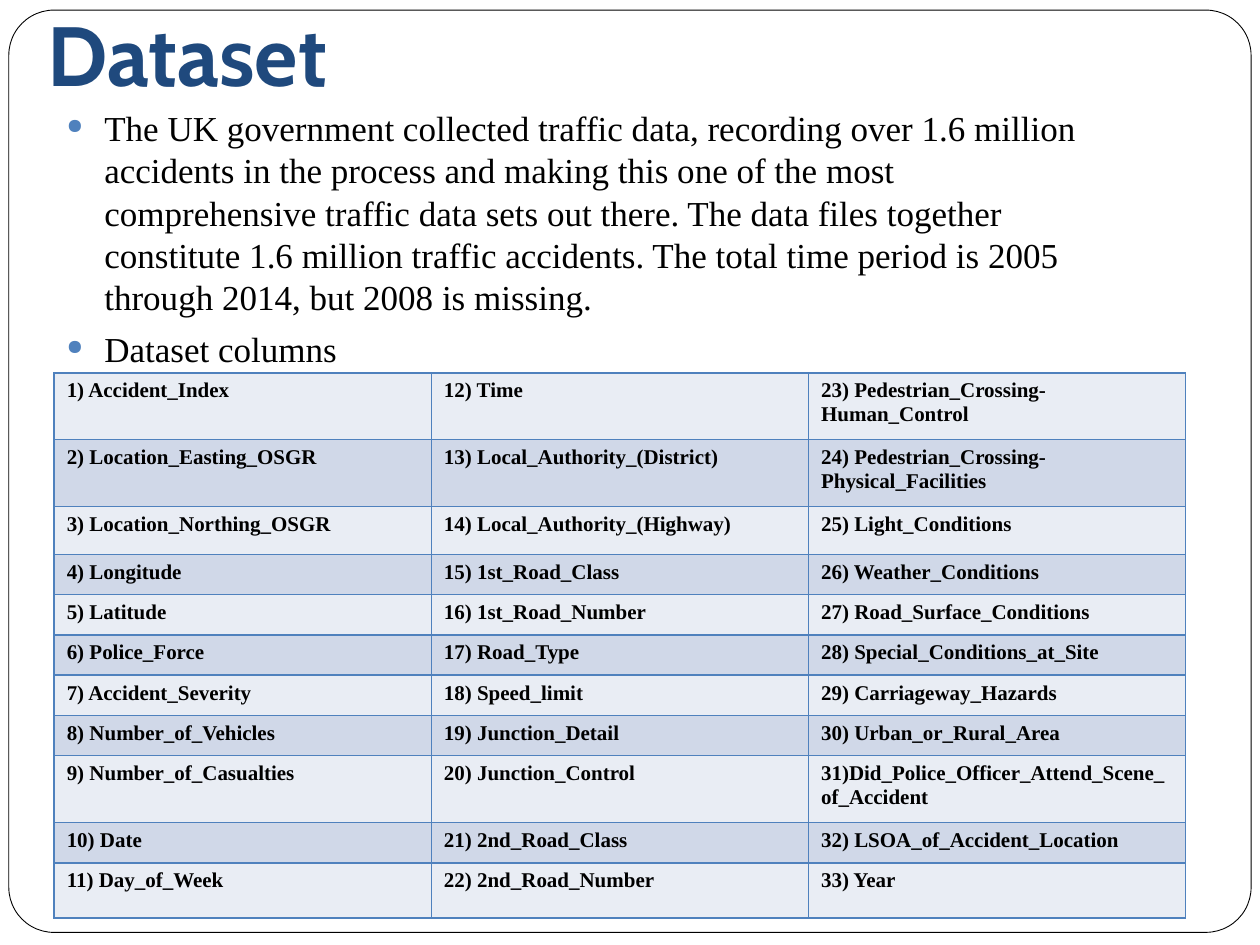
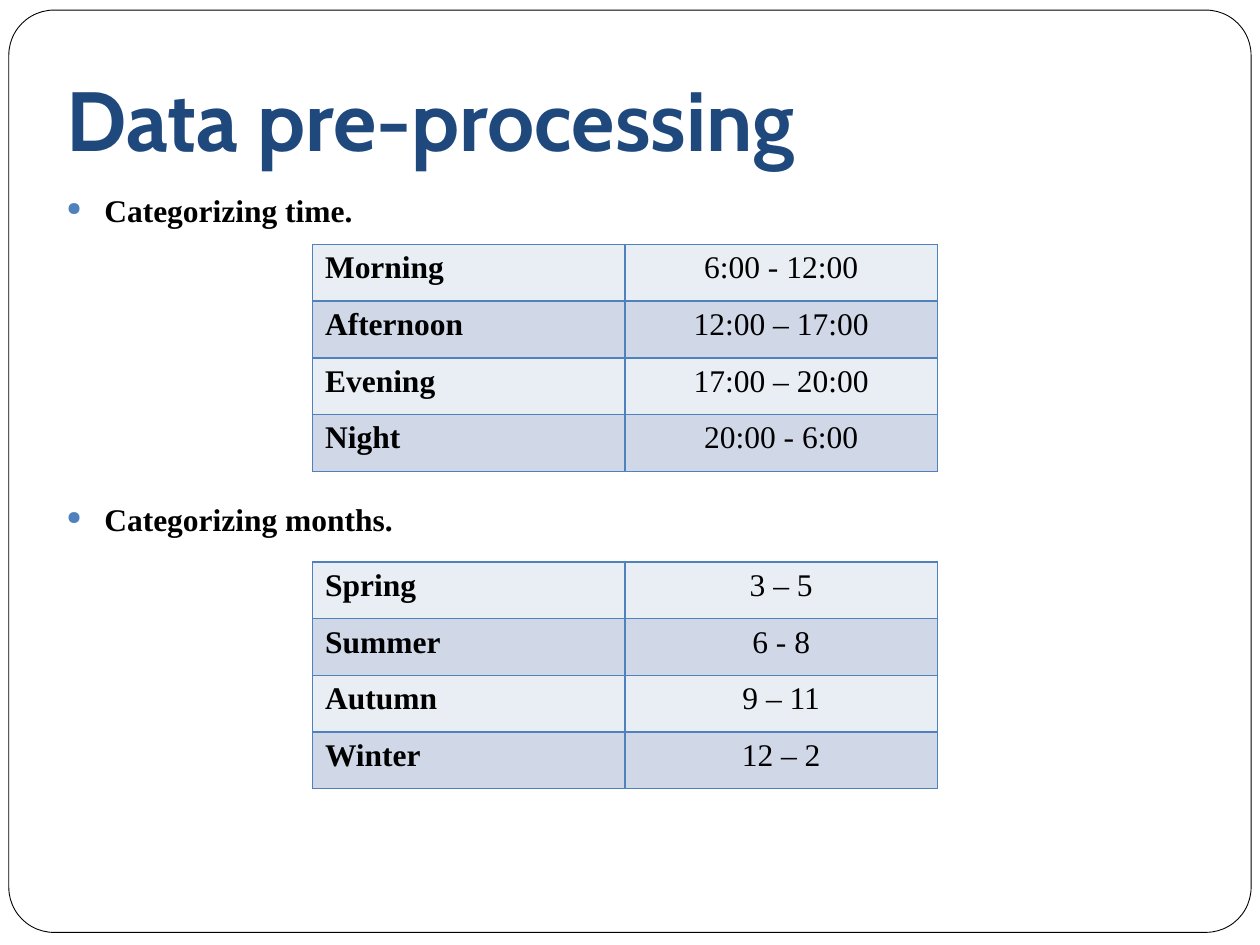
from lxml.etree import SubElement as Sub
from pptx import Presentation
from pptx.dml.color import RGBColor as RGB
from pptx.enum.shapes import MSO_SHAPE as Geo
from pptx.enum.text import MSO_ANCHOR as Anchor, MSO_AUTO_SIZE as Auto, PP_ALIGN as Align
from pptx.oxml.ns import qn
from pptx.util import Inches, Pt

WHITE = RGB(0xFF, 0xFF, 0xFF)
BLACK = RGB(0, 0, 0)
NAVY = RGB(0x1F, 0x49, 0x7D)
BLUE = RGB(0x4F, 0x81, 0xBD)
BANDS = RGB(0xE9, 0xED, 0xF4), RGB(0xD0, 0xD8, 0xE8)
SERIF = "Times New Roman"

ABOUT = (
    "The UK government collected traffic data, recording over 1.6 million "
    "accidents in the process and making this one of the most comprehensive "
    "traffic data sets out there. The data files together constitute 1.6 "
    "million traffic accidents. The total time period is 2005 through 2014, "
    "but 2008 is missing."
)
FIELDS = """Accident_Index Location_Easting_OSGR Location_Northing_OSGR
Longitude Latitude Police_Force Accident_Severity Number_of_Vehicles
Number_of_Casualties Date Day_of_Week Time Local_Authority_(District)
Local_Authority_(Highway) 1st_Road_Class 1st_Road_Number Road_Type Speed_limit
Junction_Detail Junction_Control 2nd_Road_Class 2nd_Road_Number
Pedestrian_Crossing-Human_Control Pedestrian_Crossing-Physical_Facilities
Light_Conditions Weather_Conditions Road_Surface_Conditions
Special_Conditions_at_Site Carriageway_Hazards Urban_or_Rural_Area
Did_Police_Officer_Attend_Scene_of_Accident LSOA_of_Accident_Location
Year""".split()
HEIGHTS = [0.53, 0.53, 0.38] + [0.32] * 5 + [0.53, 0.32, 0.44]
TIMES = [
    ("Morning", "6:00 - 12:00"),
    ("Afternoon", "12:00 – 17:00"),
    ("Evening", "17:00 – 20:00"),
    ("Night", "20:00 - 6:00"),
]
MONTHS = [
    ("Spring", "3 – 5"),
    ("Summer", "6 - 8"),
    ("Autumn", "9 – 11"),
    ("Winter", "12 – 2"),
]


def apply(obj, **form):
    for name, value in form.items():
        setattr(obj, name, value)


def style(run, size, color=BLACK, face=SERIF, bold=False):
    apply(run.font, name=face, size=Pt(size), bold=bold)
    run.font.color.rgb = color


def inch(*box):
    return [Inches(side) for side in box]


def add_frame(slide):
    """Put the rounded page border behind everything else."""
    frame = slide.shapes.add_shape(Geo.ROUNDED_RECTANGLE, *inch(0.07, 0.08, 9.86, 7.32))
    frame.adjustments[0] = 0.049
    frame.shadow.inherit = False
    frame.fill.solid()
    frame.fill.fore_color.rgb = WHITE
    frame.line.color.rgb = BLACK
    frame.line.width = Pt(0.5)
    slide.shapes._spTree.insert(2, frame._element)


def set_title(slide, text, box):
    title = slide.shapes.title
    apply(title, **dict(zip(("left", "top", "width", "height"), inch(*box))))
    frame = title.text_frame
    apply(frame, vertical_anchor=Anchor.BOTTOM, auto_size=Auto.NONE, word_wrap=True,
          margin_left=Inches(0.1), margin_right=Inches(0.1),
          margin_top=Inches(0.05), margin_bottom=Inches(0.1))
    par = frame.paragraphs[0]
    par.alignment = Align.LEFT
    run = par.add_run()
    run.text = text
    style(run, 48, NAVY, "Cabin", True)


def add_bullet(par):
    props = par._p.get_or_add_pPr()
    props.set("marL", str(Inches(0.3)))
    props.set("indent", str(Inches(-0.3)))
    Sub(Sub(props, qn("a:buClr")), qn("a:srgbClr"), val=str(BLUE))
    Sub(props, qn("a:buSzPct"), val="60000")
    Sub(props, qn("a:buChar"), char="●")


def add_body(slide, items, box, size, bold=False, gap=5.8):
    frame = slide.shapes.add_textbox(*inch(*box)).text_frame
    frame.word_wrap = True
    for i, text in enumerate(items):
        par = frame.add_paragraph() if i else frame.paragraphs[0]
        apply(par, line_spacing=1.0, space_before=Pt(gap if i else 5.8))
        add_bullet(par)
        run = par.add_run()
        run.text = text
        style(run, size, bold=bold)


def add_border(cell):
    props = cell._tc.get_or_add_tcPr()
    for side in "LRTB":
        line = Sub(props, qn("a:ln" + side), w=str(Pt(1)))
        Sub(Sub(line, qn("a:solidFill")), qn("a:srgbClr"), val=str(BLUE))


def add_grid(slide, rows, box, size, heights, pairs=False):
    """Draw a banded table; pairs means bold labels with centred values."""
    count = len(rows[0])
    table = slide.shapes.add_table(len(rows), count, *inch(*box)).table
    apply(table, first_row=False, horz_banding=False)
    for col in table.columns:
        col.width = Inches(box[2] / count)
    for r, texts in enumerate(rows):
        table.rows[r].height = Inches(heights[r])
        for c, text in enumerate(texts):
            cell = table.cell(r, c)
            add_border(cell)
            cell.fill.solid()
            cell.fill.fore_color.rgb = BANDS[r % 2]
            value = pairs and c > 0
            par = cell.text_frame.paragraphs[0]
            par.alignment = Align.CENTER if value else Align.LEFT
            run = par.add_run()
            run.text = text
            style(run, size, bold=not value)


def new_slide(deck, title, box):
    slide = deck.slides.add_slide(deck.slide_layouts[5])
    add_frame(slide)
    set_title(slide, title, box)
    return slide


def add_dataset(deck):
    slide = new_slide(deck, "Dataset", (0.28, -0.33, 8.5, 1.25))
    add_body(slide, [ABOUT, "Dataset columns"], (0.43, 0.8, 8.5, 5), 20)
    # Item 31 has no space after its number
    names = [f"{n}){'' if n == 31 else ' '}{field}" for n, field in enumerate(FIELDS, 1)]
    deep = len(HEIGHTS)
    rows = [names[r::deep] for r in range(deep)]
    add_grid(slide, rows, (0.43, 2.96, 8.98, 4.33), 12, HEIGHTS)


def add_prep(deck):
    slide = new_slide(deck, "Data pre-processing", (0.43, 0.29, 8.95, 1.15))
    add_body(slide, ["Categorizing time.", "Categorizing months."],
             (0.43, 1.47, 8.95, 5.45), 18, bold=True, gap=155)
    for top, rows in (1.94, TIMES), (4.46, MONTHS):
        add_grid(slide, rows, (2.48, top, 4.96, 1.81), 18, [0.45] * 4, pairs=True)


def main():
    deck = Presentation()
    apply(deck, slide_width=Inches(10), slide_height=Inches(7.5))
    add_dataset(deck)
    add_prep(deck)
    deck.save("out.pptx")


if __name__ == "__main__":
    main()
